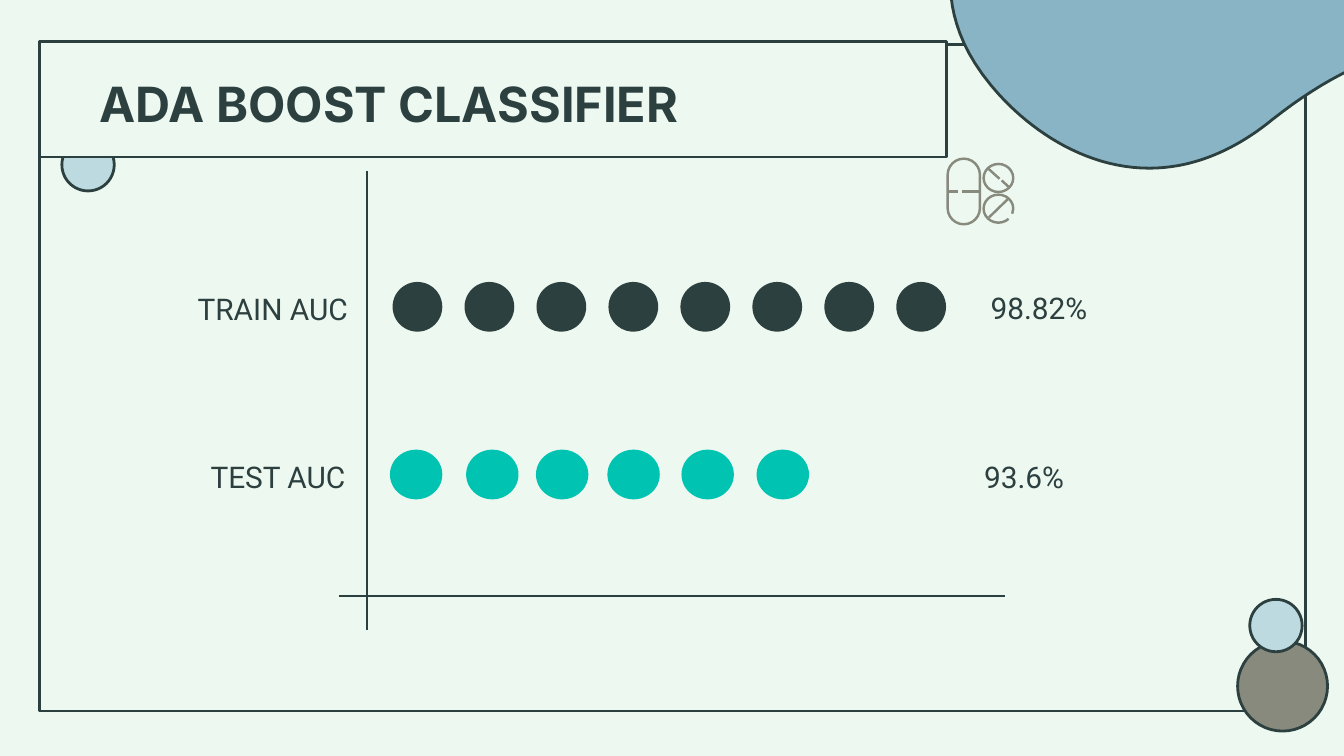
"""Build the AdaBoost classifier slide with its dot rows for train and test AUC."""
from lxml import etree
from pptx import Presentation
from pptx.dml.color import RGBColor
from pptx.enum.shapes import MSO_CONNECTOR as Connector, MSO_SHAPE as Preset
from pptx.enum.text import MSO_ANCHOR as Anchor, MSO_AUTO_SIZE as AutoSize, PP_ALIGN as Align
from pptx.oxml.ns import qn
from pptx.util import Cm, Pt

COLORS = {"paper": "EDF8F0", "ink": "2D4040", "blue": "88B4C5",
          "pale": "BDDAE0", "stone": "878A7D", "teal": "00C3B1"}
RGB = {name: RGBColor.from_string(value) for name, value in COLORS.items()}


def style(shape, fill=None, line=None, width=1.5):
    shape.shadow.inherit = False
    for part, color in ((shape.fill, fill), (shape.line.fill, line)):
        if color:
            part.solid()
            part.fore_color.rgb = RGB[color]
        else:
            part.background()
    if line:
        shape.line.width = Pt(width)


def write(shape, text, frame_format, font_format, align):
    frame = shape.text_frame
    for name, value in frame_format.items():
        setattr(frame, name, value)
    paragraph = frame.paragraphs[0]
    paragraph.alignment = align
    run = paragraph.add_run()
    run.text = text
    for name, value in font_format.items():
        setattr(run.font, name, value)
    run.font.color.rgb = RGB["ink"]


presentation = Presentation()
presentation.slide_width, presentation.slide_height = Cm(25.4), Cm(14.29)
slide = presentation.slides.add_slide(presentation.slide_layouts[5])
slide.background.fill.solid()
slide.background.fill.fore_color.rgb = RGB["paper"]
shapes = slide.shapes

frame_box = shapes.add_shape(Preset.RECTANGLE, Cm(0.74), Cm(0.84), Cm(23.93), Cm(12.6))
style(frame_box, line="ink")

blob_curves = [
    [(28.73, 0.91), (28.73, 0.91), (28.37, 0.76), (27.74, 0.76)],
    [(27.74, 0.76), (26.9, 0.76), (25.58, 1.04), (24.05, 2.26)],
    [(24.05, 2.26), (23.24, 2.92), (22.45, 3.18), (21.72, 3.18)],
    [(21.72, 3.18), (20.47, 3.18), (19.38, 2.41), (18.72, 1.6)],
    [(18.72, 1.6), (17.4, 0), (18.21, -1.37), (18.21, -1.37)],
]
blob_points = [(28.73, 0.91)]
for curve in blob_curves:
    for step in range(1, 25):
        t = step / 24
        weights = ((1 - t) ** 3, 3 * t * (1 - t) ** 2, 3 * t ** 2 * (1 - t), t ** 3)
        blob_points.append(tuple(sum(w * point[axis] for w, point in zip(weights, curve))
                                 for axis in (0, 1)))
blob_points.append((18.21, -2.16))
builder = shapes.build_freeform(Cm(29.08), Cm(-2.16))
builder.add_line_segments([(Cm(x), Cm(y)) for x, y in blob_points], close=True)
style(builder.convert_to_shape(), "blue", "ink")

for left, top, size, color in ((23.39, 12.12, 1.7, "stone"), (23.62, 11.33, 0.99, "pale"),
                               (1.17, 2.62, 0.99, "pale")):
    bubble = shapes.add_shape(Preset.OVAL, Cm(left), Cm(top), Cm(size), Cm(size))
    style(bubble, color, "ink")

for preset, left, top, width, height, adjustments in (
        (Preset.ROUNDED_RECTANGLE, 17.91, 3, 0.61, 1.24, [0.5]),
        (Preset.OVAL, 18.59, 3.1, 0.56, 0.53, []),
        (Preset.ARC, 18.59, 3.68, 0.56, 0.53, [27, 12])):
    pill = shapes.add_shape(preset, Cm(left), Cm(top), Cm(width), Cm(height))
    for index, value in enumerate(adjustments):
        pill.adjustments[index] = value
    style(pill, line="stone", width=1.3)

title = shapes.title
title.left, title.top, title.width, title.height = Cm(0.74), Cm(0.79), Cm(17.15), Cm(2.18)
style(title, "paper", "ink")
title_frame = {"margin_left": Cm(1.14), "margin_top": Cm(0.25), "margin_right": Cm(0.25),
               "margin_bottom": Cm(0.13), "vertical_anchor": Anchor.MIDDLE,
               "word_wrap": True, "auto_size": AutoSize.NONE}
write(title, "ADA BOOST CLASSIFIER", title_frame,
      {"name": "Inter", "size": Pt(26), "bold": True}, Align.LEFT)
title.element.getparent().append(title.element)

for x1, y1, x2, y2, color, width in (
        (17.91, 3.62, 18.11, 3.62, "stone", 1.3), (18.19, 3.62, 18.52, 3.62, "stone", 1.3),
        (18.68, 3.19, 18.89, 3.38, "stone", 1.3), (18.93, 3.41, 19.06, 3.53, "stone", 1.3),
        (18.69, 4.11, 19.05, 3.76, "stone", 1.3),
        (6.4, 11.26, 19, 11.26, "ink", 1.25), (6.93, 3.23, 6.93, 11.91, "ink", 1.25)):
    line = shapes.add_connector(Connector.STRAIGHT, Cm(x1), Cm(y1), Cm(x2), Cm(y2))
    line.line.color.rgb = RGB[color]
    line.line.width = Pt(width)
    etree.SubElement(line.element.spPr, qn("a:effectLst"))

label_frame = {f"margin_{side}": Cm(0.25) for side in ("left", "top", "right", "bottom")}
label_frame |= {"vertical_anchor": Anchor.BOTTOM, "word_wrap": True}
for text, left, top in (("TRAIN AUC", 2.54, 5.16), ("TEST AUC", 2.64, 8.33),
                        ("93.6%", 16.74, 8.33), ("98.82%", 17.02, 5.13)):
    label = shapes.add_textbox(Cm(left), Cm(top), Cm(5.23), Cm(1.27))
    write(label, text, label_frame, {"name": "Roboto", "size": Pt(16)}, Align.CENTER)

train_lefts = [7.42 + 1.36 * index for index in range(8)]
test_lefts = [7.37, 8.81, 10.13, 11.48, 12.88, 14.3]
for lefts, top, width, color in ((train_lefts, 5.33, 0.94, "ink"), (test_lefts, 8.5, 0.99, "teal")):
    for left in lefts:
        dot = shapes.add_shape(Preset.OVAL, Cm(left), Cm(top), Cm(width), Cm(0.94))
        style(dot, color)

presentation.save("out.pptx")
